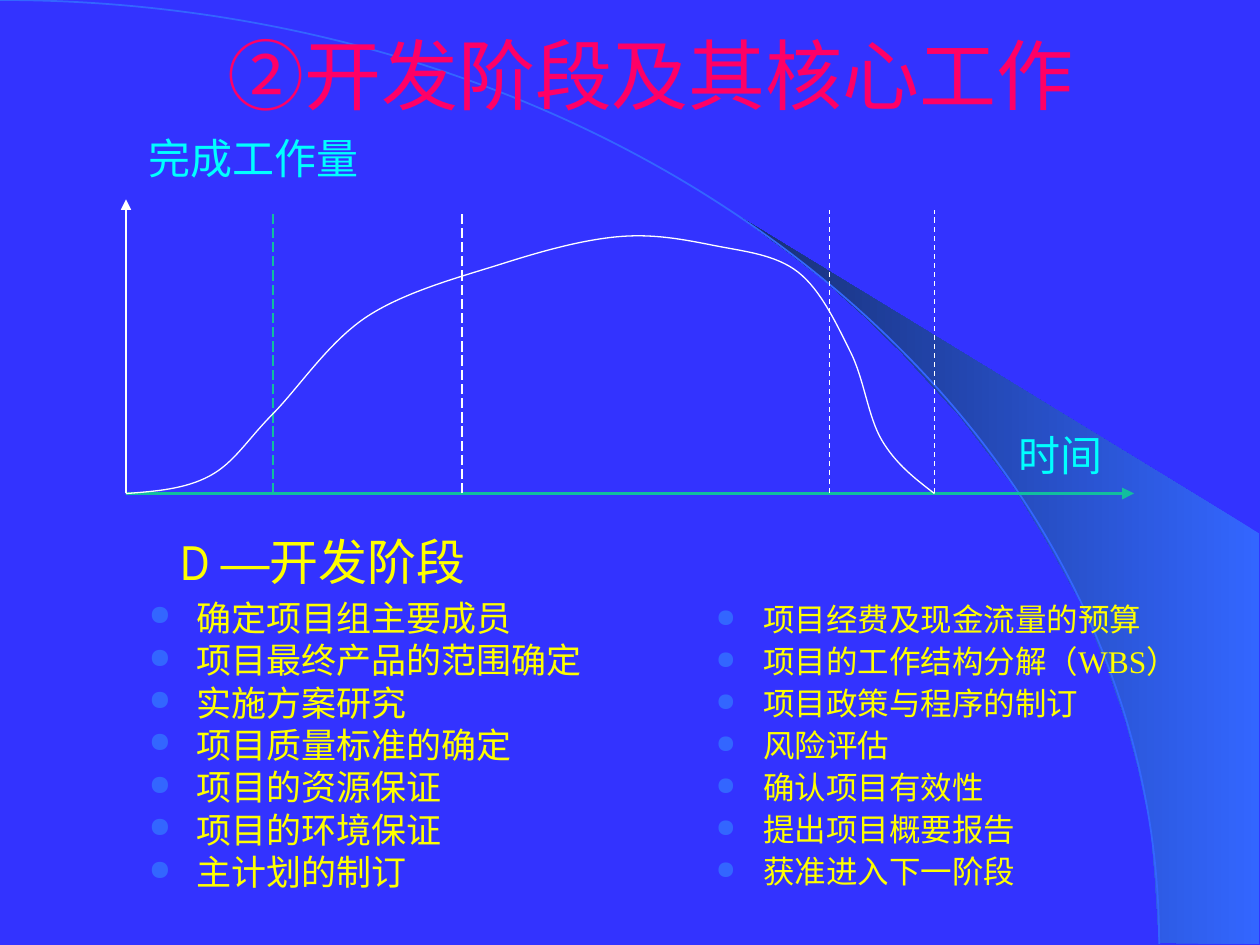
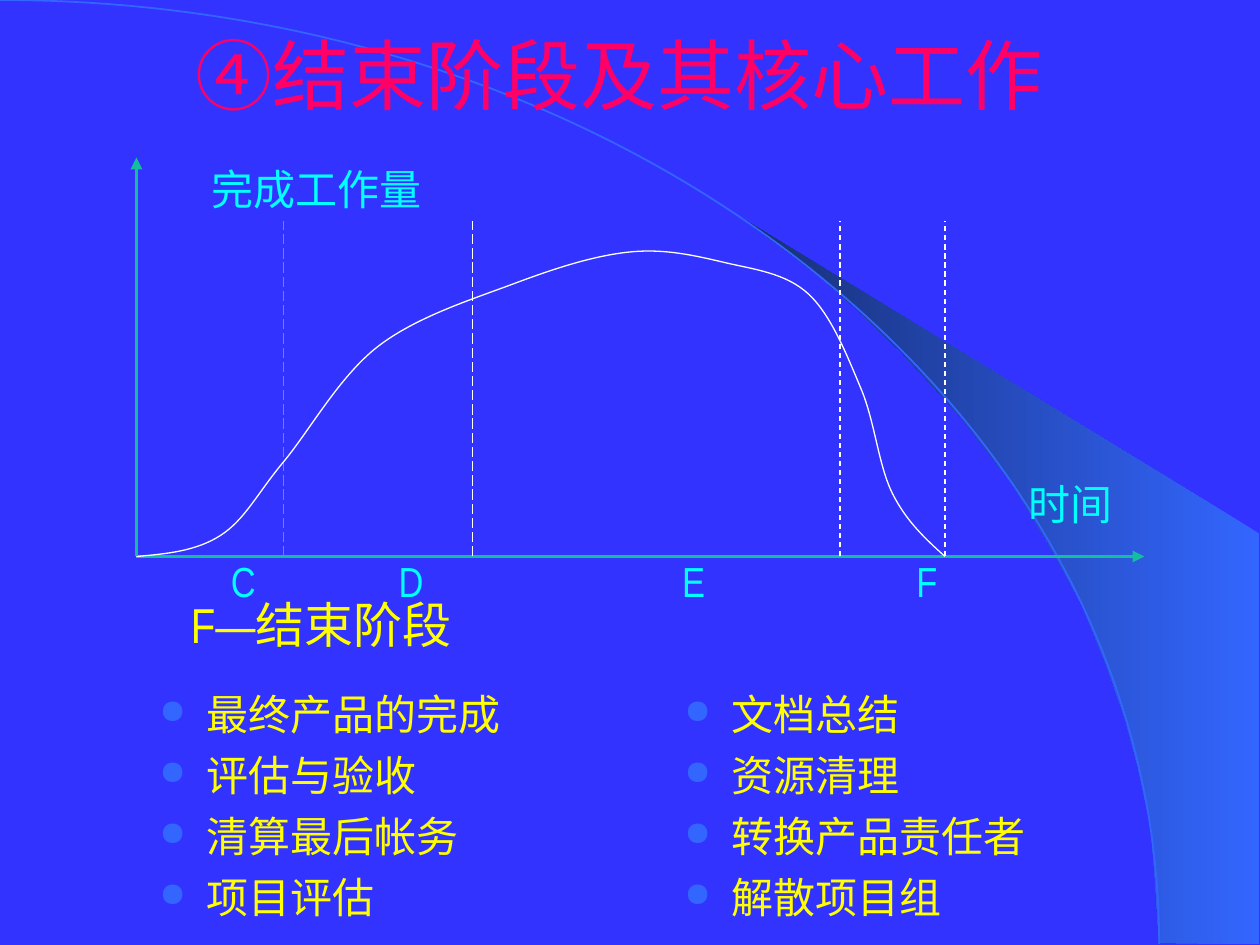
from lxml import etree
from pptx import Presentation
from pptx.dml.color import RGBColor
from pptx.enum.dml import MSO_LINE
from pptx.enum.shapes import MSO_CONNECTOR
from pptx.enum.text import MSO_ANCHOR, PP_ALIGN
from pptx.oxml.ns import qn
from pptx.util import Pt

PX = 7620  # EMU in one px, 120 px to the inch
WIDE, HIGH = 1200, 900
STRAIGHT = MSO_CONNECTOR.STRAIGHT
LONG, DASH = MSO_LINE.LONG_DASH, MSO_LINE.DASH
MIDDLE, CENTER, LEFT = MSO_ANCHOR.MIDDLE, PP_ALIGN.CENTER, PP_ALIGN.LEFT

BLUE, SKY, NAVY = "3333FF", "3366FF", "172F75"
PINK, YELLOW, CYAN = "FF0066", "FFFF00", "00FFFF"
GREEN, WHITE = "12BE9D", "FFFFFF"
SANS, SLIM, SERIF = "Arial", "Arial Narrow", "Times New Roman"

# Shared backdrop
ARC = [(0, 0), (610, 0), (1104, 402), (1104, 899)]
WEDGE = [(1104, 898), (1199, 899), (1199, 508), (707, 208), (749, 239),
         (784, 266), (822, 300), (859, 336), (914, 396), (964, 461),
         (998, 517), (1030, 575), (1054, 634), (1072, 686), (1084, 731),
         (1096, 787), (1100, 835), (1104, 898)]

# Workload curve: distance from the origin, height at full scale
CURVE = [(0, 0), (80, 20), (140, 90), (230, 200), (360, 260), (470, 290),
         (560, 280), (640, 250), (690, 160), (720, 60), (770, 0)]
FULL = 320
GUIDES = [(140, GREEN, LONG), (320, WHITE, LONG),
          (670, WHITE, DASH), (770, WHITE, DASH)]
REACH = 960

SLIDES = [
    {"title": "②开发阶段及其核心工作", "title_box": (80, 0, 1080, 140),
     "origin": (120, 470), "guide": 270, "top": 190, "axis": (WHITE, 0.75),
     "load": (130, 120), "marks": [],
     "head": [("D ", SLIM), ("—开发阶段", SANS)], "head_at": (160, 500),
     "lists": [
         {"box": (130, 570, 550, 300), "size": 20, "lead": 0.8, "gap": 5,
          "items": [("确定项目组主要成员", SERIF),
                    ("项目最终产品的范围确定", SERIF),
                    ("实施方案研究", SERIF),
                    ("项目质量标准的确定", SERIF),
                    ("项目的资源保证", SERIF),
                    ("项目的环境保证", SERIF),
                    ("主计划的制订", SERIF)]},
         {"box": (670, 570, 500, 300), "size": 18, "lead": 0.9, "gap": 4.5,
          "items": [("项目经费及现金流量的预算", SANS),
                    ("项目的工作结构分解（WBS）", SERIF),
                    ("项目政策与程序的制订", SERIF),
                    ("风险评估", SERIF),
                    ("确认项目有效性", SERIF),
                    ("提出项目概要报告", SERIF),
                    ("获准进入下一阶段", SERIF)]}]},
    {"title": "④结束阶段及其核心工作", "title_box": (40, 0, 1100, 140),
     "origin": (130, 530), "guide": 320, "top": 150, "axis": (GREEN, 2.25),
     "load": (190, 150),
     "marks": [("C", 78), ("D", 238), ("E", 508), ("F", 731)],
     "head": [("F—结束阶段", SLIM)], "head_at": (170, 560),
     "lists": [
         {"box": (140, 650, 500, 250), "size": 24, "lead": 1.0, "gap": 6,
          "items": [("最终产品的完成", SERIF), ("评估与验收", SERIF),
                    ("清算最后帐务", SERIF), ("项目评估", SERIF)]},
         {"box": (640, 650, 500, 250), "size": 24, "lead": 1.0, "gap": 6,
          "items": [("文档总结", SERIF), ("资源清理", SERIF),
                    ("转换产品责任者", SERIF), ("解散项目组", SERIF)]}]},
]


def rgb(code):
    return RGBColor.from_string(code)


def emu(*sizes):
    return [round(size * PX) for size in sizes]


def add(parent, tag, **attrs):
    return etree.SubElement(parent, qn(tag), attrs)


# Text
def put(para, text, font, size, color):
    run = para.add_run()
    run.text = text
    run.font.name, run.font.size = font, Pt(size)
    run.font.color.rgb = rgb(color)


def frame(slide, box):
    text = slide.shapes.add_textbox(*emu(*box)).text_frame
    text.word_wrap = True
    return text


def label(slide, box, runs, size, color, align=LEFT):
    text = frame(slide, box)
    para = text.paragraphs[0]
    para.alignment = align
    for words, font in runs:
        put(para, words, font, size, color)
    return text


def bullets(slide, part):
    text = frame(slide, part["box"])
    for i, (words, font) in enumerate(part["items"]):
        para = text.add_paragraph() if i else text.paragraphs[0]
        para.line_spacing = part["lead"]
        para.space_before = Pt(part["gap"] if i else 0)
        props = para._p.get_or_add_pPr()
        indent = emu(45)[0]
        props.set("marL", str(indent))
        props.set("indent", str(-indent))
        add(add(props, "a:buClr"), "a:srgbClr", val=SKY)
        add(props, "a:buSzPct", val="80000")
        add(props, "a:buChar", char="●")
        put(para, words, font, part["size"], YELLOW)


# Lines and outlines
def line(slide, start, end, color, width, dash=None, arrow=False):
    link = slide.shapes.add_connector(STRAIGHT, *emu(*start, *end))
    link.line.color.rgb, link.line.width = rgb(color), Pt(width)
    if dash:
        link.line.dash_style = dash
    if arrow:
        add(link.line._get_or_add_ln(), "a:tailEnd", type="triangle")
    add(link._element.spPr, "a:effectLst")


def outline(slide, points, closed=False):
    spots = [emu(*spot) for spot in points]
    pen = slide.shapes.build_freeform(*spots[0])
    pen.add_line_segments(spots[1:], close=closed)
    shape = pen.convert_to_shape()
    shape.shadow.inherit = False
    return shape


def bezier(slide, points, color, width):
    """Draw a start point followed by triples of cubic control points."""
    shape = outline(slide, points)
    shape.fill.background()
    shape.line.color.rgb, shape.line.width = rgb(color), Pt(width)
    legs = list(shape._element.iter(qn("a:lnTo")))
    for i in range(0, len(legs), 3):
        bend = add(legs[i].getparent(), "a:cubicBezTo")
        for leg in legs[i:i + 3]:
            bend.append(leg[0])
            leg.getparent().remove(leg)


def mid(a, b):
    return (a[0] + b[0]) / 2, (a[1] + b[1]) / 2


def spline(knots):
    """Smooth path: each inner tangent follows its two neighbours."""
    last = len(knots) - 1
    pulls = {i: [(knots[i + 1][k] - knots[i - 1][k]) / 6 for k in (0, 1)]
             for i in range(1, last)}

    def aim(i, sign):
        return tuple(knots[i][k] + sign * pulls[i][k] for k in (0, 1))

    path = [knots[0]]
    for i in range(last):
        out = aim(i, 1) if i else mid(knots[0], aim(1, -1))
        into = aim(i + 1, -1) if i + 1 < last else mid(out, knots[last])
        path += [out, into, knots[i + 1]]
    return path


# Parts of a slide
def backdrop(slide):
    wedge = outline(slide, WEDGE, closed=True)
    wedge.line.fill.background()
    wedge.fill.gradient()
    wedge.fill.gradient_angle = 180
    for stop, color, spot in zip(wedge.fill.gradient_stops, (SKY, NAVY), (0, 1)):
        stop.color.rgb, stop.position = rgb(color), spot
    bezier(slide, ARC, SKY, 1)


def graph(slide, data):
    x, y = data["origin"]
    tall = data["guide"]
    line(slide, (x, y), (x + REACH, y), GREEN, 2.25, arrow=True)
    for step, color, dash in GUIDES:
        line(slide, (x + step, y), (x + step, y - tall), color, 0.75, dash)
    knots = [(x + dx, y - dy * tall / FULL) for dx, dy in CURVE]
    bezier(slide, spline(knots), WHITE, 0.75)
    line(slide, (x, y), (x, data["top"]), *data["axis"], arrow=True)
    label(slide, (x + 838, y - tall // 4, 122, 60), [("时间", SLIM)], 24, CYAN)
    label(slide, (*data["load"], 240, 60), [("完成工作量", SERIF)], 24, CYAN)
    for mark, dx in data["marks"]:
        label(slide, (x + dx, y - 7, 60, 60), [(mark, SLIM)], 24, CYAN)


def main():
    prs = Presentation()
    prs.slide_width, prs.slide_height = emu(WIDE, HIGH)
    ground = prs.slide_master.background.fill
    ground.solid()
    ground.fore_color.rgb = rgb(BLUE)
    for data in SLIDES:
        slide = prs.slides.add_slide(prs.slide_layouts[6])
        backdrop(slide)
        title = label(slide, data["title_box"], [(data["title"], SANS)],
                      44, PINK, CENTER)
        title.vertical_anchor = MIDDLE
        for part in data["lists"]:
            bullets(slide, part)
        label(slide, (*data["head_at"], 372, 68), data["head"], 28, YELLOW)
        graph(slide, data)
    prs.save("out.pptx")


if __name__ == "__main__":
    main()
